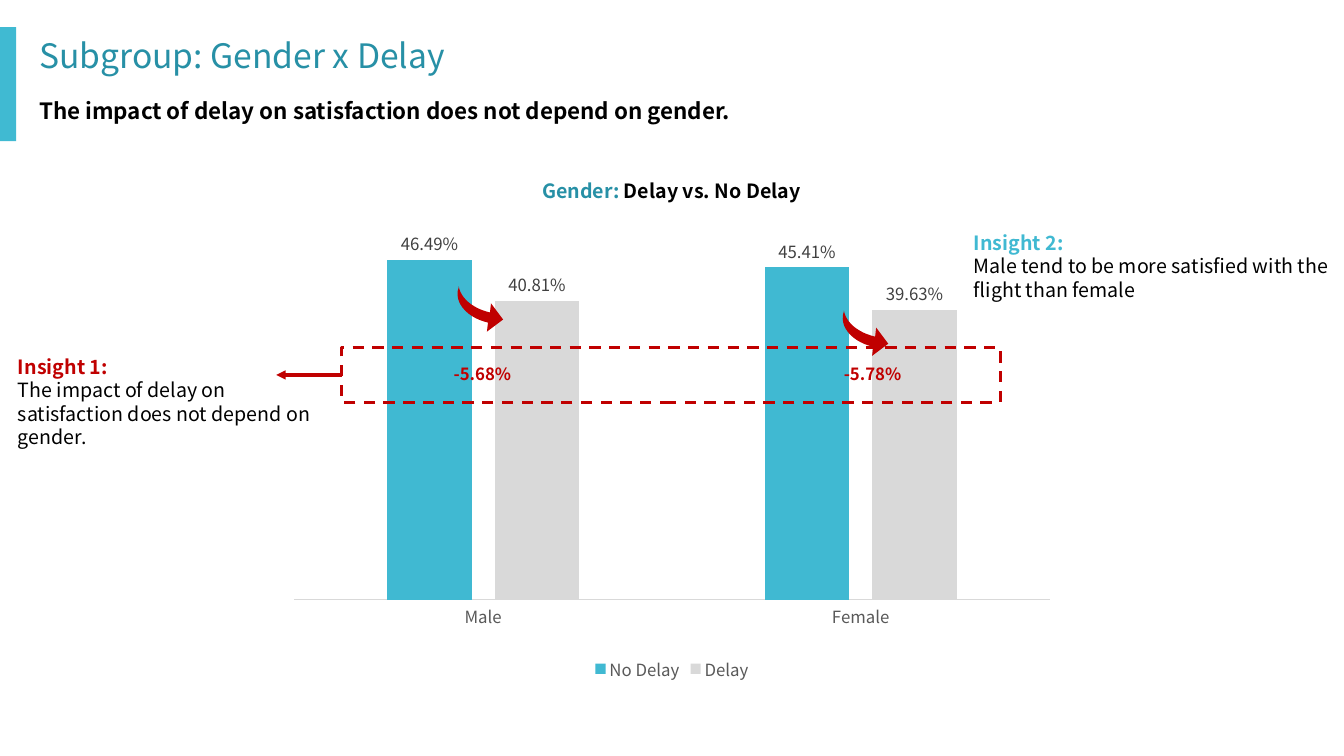
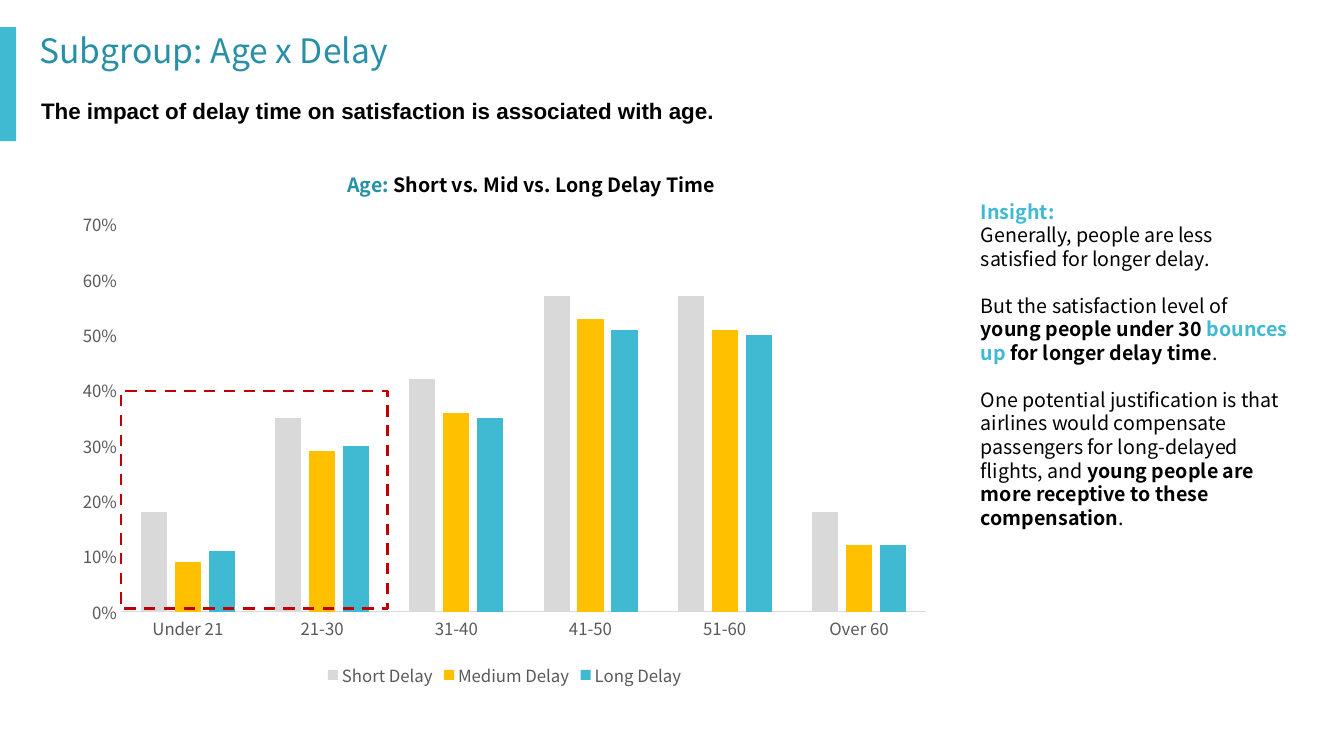
from lxml import etree
from pptx import Presentation
from pptx.chart.data import CategoryChartData
from pptx.dml.color import RGBColor
from pptx.enum.chart import XL_CHART_TYPE, XL_LABEL_POSITION, XL_LEGEND_POSITION, XL_TICK_MARK
from pptx.enum.dml import MSO_LINE
from pptx.enum.shapes import MSO_CONNECTOR, MSO_SHAPE
from pptx.enum.text import MSO_ANCHOR, MSO_AUTO_SIZE, PP_ALIGN
from pptx.oxml import parse_xml
from pptx.oxml.ns import nsdecls, qn
from pptx.util import Inches, Pt

COLUMNS = XL_CHART_TYPE.COLUMN_CLUSTERED
BOTTOM = XL_LEGEND_POSITION.BOTTOM
OUTSIDE = XL_LABEL_POSITION.OUTSIDE_END
NO_TICK = XL_TICK_MARK.NONE
DASH = MSO_LINE.DASH
RECTANGLE = MSO_SHAPE.RECTANGLE
STRAIGHT = MSO_CONNECTOR.STRAIGHT
TOP, MIDDLE = MSO_ANCHOR.TOP, MSO_ANCHOR.MIDDLE
NO_FIT = MSO_AUTO_SIZE.NONE
LEFT, CENTER = PP_ALIGN.LEFT, PP_ALIGN.CENTER

BAND = RGBColor(0x40, 0xBA, 0xD2)
CYAN = RGBColor(0x40, 0xB9, 0xD2)
TEAL = RGBColor(0x27, 0x90, 0xA6)
RED = RGBColor(0xC0, 0x00, 0x00)
AMBER = RGBColor(0xFF, 0xC0, 0x00)
SILVER = RGBColor(0xD9, 0xD9, 0xD9)
AXIS_GRAY = RGBColor(0x59, 0x59, 0x59)
LABEL_GRAY = RGBColor(0x40, 0x40, 0x40)
BLACK = RGBColor(0x00, 0x00, 0x00)
FONT = "Noto Sans CJK SC"
TITLE_LAYOUT = 5
BLANK_LINE = 16.8

GENDER = {
    "title": ("Subgroup: Gender x Delay", (0.29, 0.32, 13.04, 0.5)),
    "message": ("The impact of delay on satisfaction does not depend on gender.", (0.29, 0.91, 7.37, 0.37), FONT),
    "heading": ("Gender: ", "Delay vs. No Delay", (4.37, 1.73, 4.58, 0.34)),
    "categories": ["Male", "Female"],
    "series": [
        ("No Delay", [0.4649, 0.4541], CYAN),
        ("Delay", [0.4081, 0.3963], SILVER),
    ],
    "chart_box": (2.74, 2.07, 7.85, 4.73),
    "plot": (0.023, 0.053, 0.954, 0.767),
    "gap": 219, "overlap": -27, "maximum": 0.5, "labels": True,
    "insights": [
        ((9.56, 2.19, 3.77, 0.91), [
            [("Insight 2:", CYAN, True)],
            [("Male tend to be more satisfied with the flight than female", BLACK, False)],
        ]),
        ((0.08, 3.42, 3.12, 1.14), [
            [("Insight 1:", RED, True)],
            [("The impact of delay on satisfaction does not depend on gender.", BLACK, False)],
        ]),
    ],
    "focus": (3.39, 3.45, 6.53, 0.54),
}
AGE = {
    "title": ("Subgroup: Age x Delay", (0.29, 0.3, 9.96, 0.44)),
    "message": ("The impact of delay time on satisfaction is associated with age.", (0.31, 0.91, 12.56, 0.37), "Arial"),
    "heading": ("Age: ", "Short vs. Mid vs. Long Delay Time", (2.98, 1.67, 4.58, 0.34)),
    "categories": ["Under 21", "21-30", "31-40", "41-50", "51-60", "Over 60"],
    "series": [
        ("Short Delay", [0.18, 0.35, 0.42, 0.57, 0.57, 0.18], SILVER),
        ("Medium Delay", [0.09, 0.29, 0.36, 0.53, 0.51, 0.12], AMBER),
        ("Long Delay", [0.11, 0.3, 0.35, 0.51, 0.5, 0.12], CYAN),
    ],
    "chart_box": (0.65, 2.01, 8.71, 4.85),
    "plot": (0.063, 0.045, 0.917, 0.792),
    "gap": 154, "overlap": -30, "maximum": 0.7, "labels": False,
    "insights": [
        ((9.63, 1.88, 3.24, 3.74), [
            [("Insight:", CYAN, True)],
            [("Generally, people are less satisfied for longer delay.", BLACK, False)],
            [("But the satisfaction level of ", BLACK, False), ("young people under 30 ", BLACK, True),
             ("bounces up ", CYAN, True), ("for longer delay time", BLACK, True), (".", BLACK, False)],
            [("One potential justification is that airlines would compensate passengers for "
              "long-delayed flights, and ", BLACK, False),
             ("young people are more receptive to these compensation", BLACK, True), (".", BLACK, False)],
        ]),
    ],
    "focus": (1.2, 3.88, 2.64, 2.16),
}
DROPS = [("-5.68%", 4.4, (4.53, 2.84)), ("-5.78%", 8.27, (8.35, 3.08))]
ARROW_HEAD = [(0.31, 0.36), (0.3, 0.45), (0.46, 0.33), (0.34, 0.17), (0.33, 0.26)]
ARROW_CURVES = [
    [(0.33, 0.26), (0.16, 0.22), (0.04, 0.12), (0.02, 0)],
    [(0.02, 0), (0.02, 0.02), (0.01, 0.04), (0.01, 0.05)],
    [(0.01, 0.05), (-0.01, 0.19), (0.13, 0.32), (0.31, 0.36)],
]
CURVE_STEPS = 12


def place(box):
    return [Inches(length) for length in box]


def set_font(font, size, color, bold=False, name=FONT):
    font.name, font.size, font.bold = name, Pt(size), bold
    font.color.rgb = color


def write_text(shape, paragraphs, size=14, font=FONT, align=LEFT, anchor=TOP, inset=0.05,
               line_spacing=None, spaced_from=None):
    frame = shape.text_frame
    frame.word_wrap = True
    frame.auto_size = NO_FIT
    frame.vertical_anchor = anchor
    frame.margin_left = frame.margin_right = Inches(0.1)
    frame.margin_top = frame.margin_bottom = Inches(inset)
    for index, runs in enumerate(paragraphs):
        paragraph = frame.add_paragraph() if index else frame.paragraphs[0]
        paragraph.alignment = align
        if line_spacing:
            paragraph.line_spacing = line_spacing
        if spaced_from and index >= spaced_from:
            paragraph.space_before = Pt(BLANK_LINE)
        for text, color, bold in runs:
            run = paragraph.add_run()
            run.text = text
            set_font(run.font, size, color, bold, font)


def add_text(slide, box, paragraphs, **text_format):
    write_text(slide.shapes.add_textbox(*place(box)), paragraphs, **text_format)


def add_band(slide, layout):
    band = slide.shapes.add_shape(RECTANGLE, *place((0, 0.27, 0.16, 1.13)))
    band.shadow.inherit = False
    band.fill.solid()
    band.fill.fore_color.rgb = BAND
    band.line.fill.background()
    layout.shapes.element.append(band.element)


def set_plot_area(chart, plot):
    sides = "".join(f'<c:{side}Mode val="edge"/>' for side in "xy")
    sizes = "".join(f'<c:{side} val="{value}"/>' for side, value in zip("xywh", plot))
    layout = parse_xml(f'<c:layout {nsdecls("c")}><c:manualLayout><c:layoutTarget val="inner"/>'
                       f'{sides}{sizes}</c:manualLayout></c:layout>')
    area = chart.plots[0]._element.getparent()
    for previous in area.findall(qn("c:layout")):
        area.remove(previous)
    area.insert(0, layout)


def add_columns(slide, content):
    data = CategoryChartData(number_format="0.00%" if content["labels"] else "0%")
    data.categories = content["categories"]
    for name, values, _ in content["series"]:
        data.add_series(name, values)
    chart = slide.shapes.add_chart(COLUMNS, *place(content["chart_box"]), data).chart
    chart.has_title = False
    set_font(chart.font, 12, BLACK)
    chart.has_legend = True
    chart.legend.position = BOTTOM
    chart.legend.include_in_layout = False
    set_font(chart.legend.font, 12, AXIS_GRAY)
    plot = chart.plots[0]
    plot.vary_by_categories = False
    plot.gap_width, plot.overlap = content["gap"], content["overlap"]
    for series, (_, _, color) in zip(plot.series, content["series"]):
        series.format.fill.solid()
        series.format.fill.fore_color.rgb = color
    for axis in (chart.category_axis, chart.value_axis):
        axis.has_major_gridlines = False
        axis.major_tick_mark = axis.minor_tick_mark = NO_TICK
        set_font(axis.tick_labels.font, 12, AXIS_GRAY)
    chart.category_axis.format.line.color.rgb = SILVER
    chart.category_axis.format.line.width = Pt(0.75)
    values = chart.value_axis
    values.minimum_scale, values.maximum_scale, values.major_unit = 0, content["maximum"], 0.1
    values.format.line.fill.background()
    values.visible = not content["labels"]
    if content["labels"]:
        plot.has_data_labels = True
        labels = plot.data_labels
        labels.show_value = True
        labels.position = OUTSIDE
        labels.number_format, labels.number_format_is_linked = "0.00%", False
        set_font(labels.font, 12, LABEL_GRAY)
    set_plot_area(chart, content["plot"])


def add_focus(slide, box):
    focus = slide.shapes.add_shape(RECTANGLE, *place(box))
    focus.shadow.inherit = False
    focus.fill.background()
    focus.line.color.rgb = RED
    focus.line.width = Pt(2)
    focus.line.dash_style = DASH


def add_pointer(slide, start, end):
    pointer = slide.shapes.add_connector(STRAIGHT, *place(start + end))
    pointer.line.color.rgb = RED
    pointer.line.width = Pt(2.25)
    etree.SubElement(pointer.line._get_or_add_ln(), qn("a:tailEnd"), type="triangle")
    etree.SubElement(pointer.element.spPr, qn("a:effectLst"))


def curve_point(controls, t):
    weights = ((1 - t) ** 3, 3 * t * (1 - t) ** 2, 3 * t ** 2 * (1 - t), t ** 3)
    return tuple(sum(w * point[axis] for w, point in zip(weights, controls)) for axis in (0, 1))


def add_drop_arrow(slide, origin):
    outline = ARROW_HEAD + [curve_point(controls, step / CURVE_STEPS)
                            for controls in ARROW_CURVES for step in range(1, CURVE_STEPS + 1)]
    points = [place((origin[0] + x, origin[1] + y)) for x, y in outline]
    builder = slide.shapes.build_freeform(*points[0])
    builder.add_line_segments(points[1:], close=True)
    arrow = builder.convert_to_shape()
    arrow.shadow.inherit = False
    arrow.fill.solid()
    arrow.fill.fore_color.rgb = RED
    arrow.line.fill.background()


def add_subgroup_slide(presentation, layout, content):
    slide = presentation.slides.add_slide(layout)
    title_text, title_box = content["title"]
    title = slide.shapes.title
    title.left, title.top, title.width, title.height = place(title_box)
    write_text(title, [[(title_text, TEAL, False)]], size=24, anchor=MIDDLE, line_spacing=0.9)
    add_columns(slide, content)
    message, message_box, message_font = content["message"]
    add_text(slide, message_box, [[(message, BLACK, True)]], size=16, font=message_font)
    group, comparison, heading_box = content["heading"]
    add_text(slide, heading_box, [[(group, TEAL, True), (comparison, BLACK, True)]], align=CENTER)
    for box, paragraphs in content["insights"]:
        add_text(slide, box, paragraphs, inset=0.1, spaced_from=2)
    add_focus(slide, content["focus"])
    return slide


presentation = Presentation()
presentation.slide_width, presentation.slide_height = Inches(13.33), Inches(7.5)
title_layout = presentation.slide_layouts[TITLE_LAYOUT]

gender_slide = add_subgroup_slide(presentation, title_layout, GENDER)
add_band(gender_slide, title_layout)
for drop, left, origin in DROPS:
    add_drop_arrow(gender_slide, origin)
    add_text(gender_slide, (left, 3.56, 0.79, 0.3), [[(drop, RED, True)]], size=12)
add_pointer(gender_slide, (3.39, 3.72), (2.74, 3.72))

add_subgroup_slide(presentation, title_layout, AGE)
presentation.save("out.pptx")
